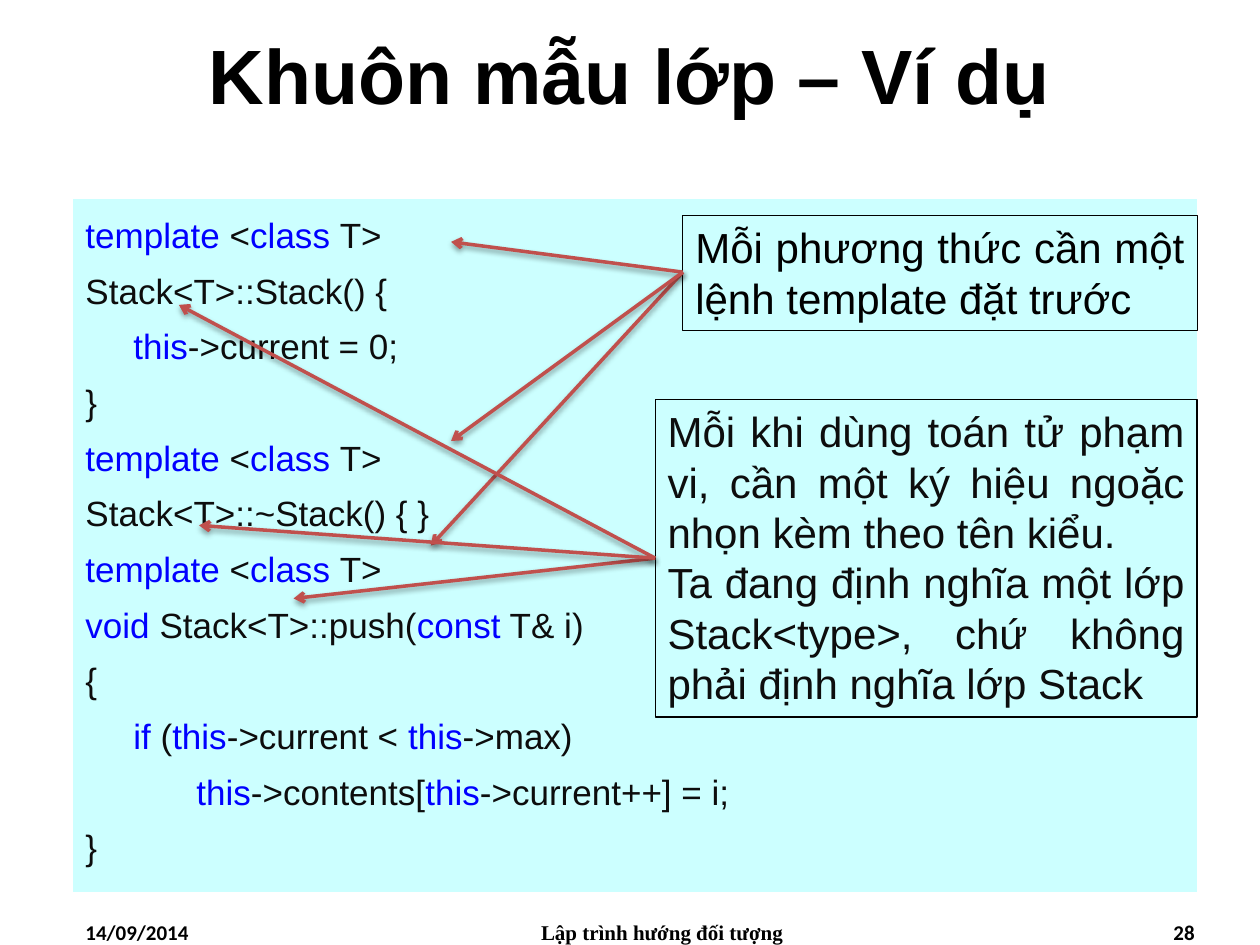
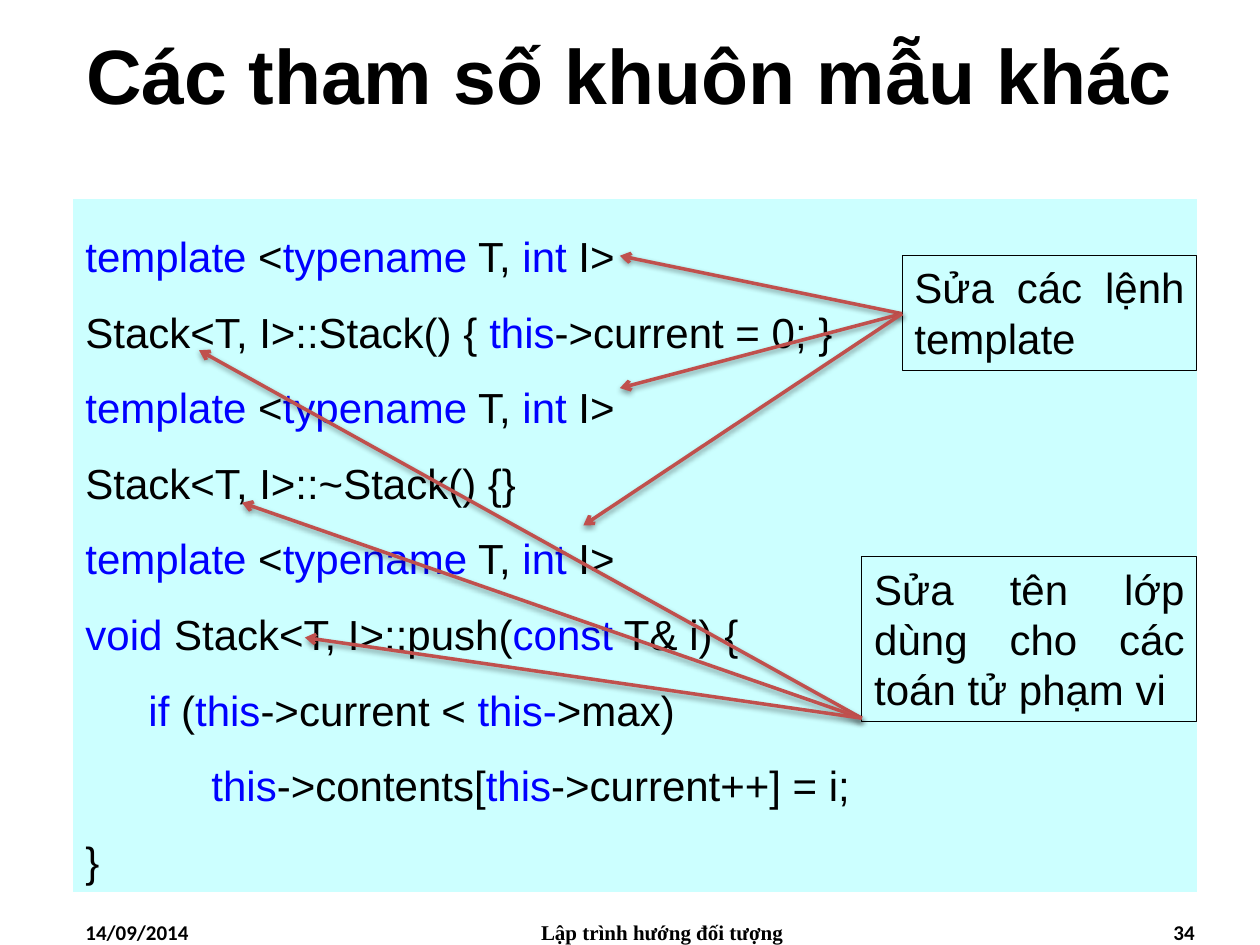
import lxml.etree
import pptx
import pptx.dml.color
import pptx.enum.shapes
import pptx.enum.text
import pptx.oxml
import pptx.oxml.ns
import pptx.util

Inches = pptx.util.Inches
Pt = pptx.util.Pt
RGBColor = pptx.dml.color.RGBColor
Align = pptx.enum.text.PP_ALIGN
Anchor = pptx.enum.text.MSO_ANCHOR

BLACK = RGBColor(0x00, 0x00, 0x00)
INK = RGBColor(0x0D, 0x0D, 0x0D)
KEYWORD = RGBColor(0x00, 0x00, 0xFF)
PANEL = RGBColor(0xCC, 0xFF, 0xFF)
ARROW = RGBColor(0xC0, 0x50, 0x4D)

DATE = "14/09/2014"
COURSE = "Lập trình hướng đối tượng"
RIGHT_EDGE = 9.5

ARROW_SHADOW = (
    '<a:effectLst xmlns:a="http://schemas.openxmlformats.org/drawingml/2006/main">'
    '<a:outerShdw blurRad="40000" dist="20000" dir="5400000" rotWithShape="0">'
    '<a:srgbClr val="000000"><a:alpha val="38000"/></a:srgbClr>'
    '</a:outerShdw></a:effectLst>'
)


class LectureDeck:
    """Holds the lecture style and the slide being filled."""

    def __init__(self):
        self.deck = pptx.Presentation()
        self.deck.slide_width = Inches(10)
        self.deck.slide_height = Inches(7.5)
        self.page = None

    def add_page(self, title, number):
        self.page = self.deck.slides.add_slide(self.deck.slide_layouts[6])
        box = self.text_box(0, 0, 10, 1.17)
        box.text_frame.vertical_anchor = Anchor.MIDDLE
        self.set_lines(box, [title], 44, align=Align.CENTER, bold=True)
        # Footer: date, course and page number
        for text, left, width, font, align in (
            (DATE, 0.58, 2.33, "Calibri", Align.LEFT),
            (COURSE, 3.67, 3.17, "Times New Roman", Align.CENTER),
            (str(number), 7.25, 2.33, "Calibri", Align.RIGHT),
        ):
            box = self.text_box(left, 7.25, width, 0.25)
            self.set_lines(box, [text], 12, font=font, align=align, bold=True)

    def text_box(self, left, top, width, height):
        box = self.page.shapes.add_textbox(
            Inches(left), Inches(top), Inches(width), Inches(height))
        box.text_frame.word_wrap = True
        return box

    def set_lines(self, box, lines, size, color=BLACK, font="Arial",
                  align=Align.LEFT, bold=False):
        """Set one paragraph per line; text between backticks is a keyword."""
        frame = box.text_frame
        for index, line in enumerate(lines):
            para = frame.add_paragraph() if index else frame.paragraphs[0]
            para.alignment = align
            para.font.name = font
            para.font.size = Pt(size)
            para.font.bold = bold
            para.font.color.rgb = color
            for position, piece in enumerate(line.split("`")):
                if piece:
                    span = para.add_run()
                    span.text = piece
                    if position % 2:
                        span.font.color.rgb = KEYWORD

    def code(self, lines, size, color, spacing, before=0, hanging=0):
        panel = self.page.shapes.add_shape(
            pptx.enum.shapes.MSO_SHAPE.RECTANGLE,
            Inches(0.58), Inches(1.58), Inches(8.92), Inches(5.5))
        panel.shadow.inherit = False
        panel.fill.solid()
        panel.fill.fore_color.rgb = PANEL
        panel.line.fill.background()
        panel.text_frame.word_wrap = True
        panel.text_frame.vertical_anchor = Anchor.TOP
        self.set_lines(panel, lines, size, color)
        for para in panel.text_frame.paragraphs:
            para.line_spacing = spacing
            para.space_before = Pt(before)
            if hanging:
                properties = para._p.get_or_add_pPr()
                properties.set("marL", str(Inches(hanging)))
                properties.set("indent", str(-Inches(hanging)))

    def note(self, lines, left, top, height, color=BLACK, border=0.5):
        """Add a framed remark that ends at the right edge of the code."""
        box = self.text_box(left, top, RIGHT_EDGE - left, height)
        box.text_frame.auto_size = pptx.enum.text.MSO_AUTO_SIZE.SHAPE_TO_FIT_TEXT
        box.line.color.rgb = BLACK
        box.line.width = Pt(border)
        self.set_lines(box, lines, 24, color, align=Align.JUSTIFY)

    def arrows(self, start, targets):
        """Draw arrows from one start point to each target."""
        for target in targets:
            line = self.page.shapes.add_connector(
                pptx.enum.shapes.MSO_CONNECTOR.STRAIGHT,
                *(Inches(value) for value in start + target))
            line.line.color.rgb = ARROW
            line.line.width = Pt(2)
            properties = line._element.spPr
            head = lxml.etree.SubElement(
                properties.get_or_add_ln(), pptx.oxml.ns.qn("a:tailEnd"))
            head.set("type", "arrow")
            properties.append(pptx.oxml.parse_xml(ARROW_SHADOW))


def add_class_example(lecture):
    lecture.add_page("Khuôn mẫu lớp – Ví dụ", 28)
    template = "`template `<`class `T>"
    lecture.code([
        template,
        "Stack<T>::Stack() {",
        "\t`this`->current = 0;",
        "}",
        template,
        "Stack<T>::~Stack() { }",
        template,
        "`void` Stack<T>::push(`const` T& i)",
        "{",
        "\t`if` (`this`->current < `this`->max)",
        "\t\t`this`->contents[`this`->current++] = i;",
        "}",
    ], 20, INK, spacing=1.2, before=3, hanging=0.38)

    # Remark on the template lines
    lecture.note(["Mỗi phương thức cần một lệnh template đặt trước"],
                 5.42, 1.71, 0.91)
    lecture.arrows((5.42, 2.16), [(3.42, 4.33), (3.58, 1.92), (3.58, 3.5)])

    # Remark on the scope operators
    lecture.note([
        "Mỗi khi dùng toán tử phạm vi, cần một ký hiệu ngoặc nhọn kèm theo tên kiểu.",
        "Ta đang định nghĩa một lớp Stack<type>, chứ không phải định nghĩa lớp Stack",
    ], 5.2, 3.17, 2.52, INK, border=0.75)
    lecture.arrows((5.2, 4.43), [(2.33, 4.75), (1.42, 2.42), (1.58, 4.17)])


def add_other_parameters(lecture):
    lecture.add_page("Các tham số khuôn mẫu khác", 34)
    template = "`template` <`typename` T, `int` I>"
    lecture.code([
        template,
        "Stack<T, I>::Stack() { `this`->current = 0; }",
        template,
        "Stack<T, I>::~Stack() {}",
        template,
        "`void `Stack<T, I>::push(`const` T& i) {",
        "\t`if `(`this`->current <` this-`>max)",
        "\t\t`this`->contents[`this`->current++] = i;",
        "}",
    ], 24, BLACK, spacing=1.5)

    # Remark on the template lines
    lecture.note(["Sửa các lệnh template"], 7.16, 2.03, 0.91)
    lecture.arrows((7.16, 2.49), [(4.92, 2.03), (4.92, 3.08), (4.63, 4.17)])

    # Remark on the class names
    lecture.note(["Sửa tên lớp dùng cho các toán tử phạm vi"], 6.84, 4.42, 1.31)
    lecture.arrows((6.84, 5.7), [(1.58, 2.78), (1.92, 3.99), (2.42, 5.06)])


def main():
    lecture = LectureDeck()
    add_class_example(lecture)
    add_other_parameters(lecture)
    lecture.deck.save("out.pptx")


if __name__ == "__main__":
    main()
